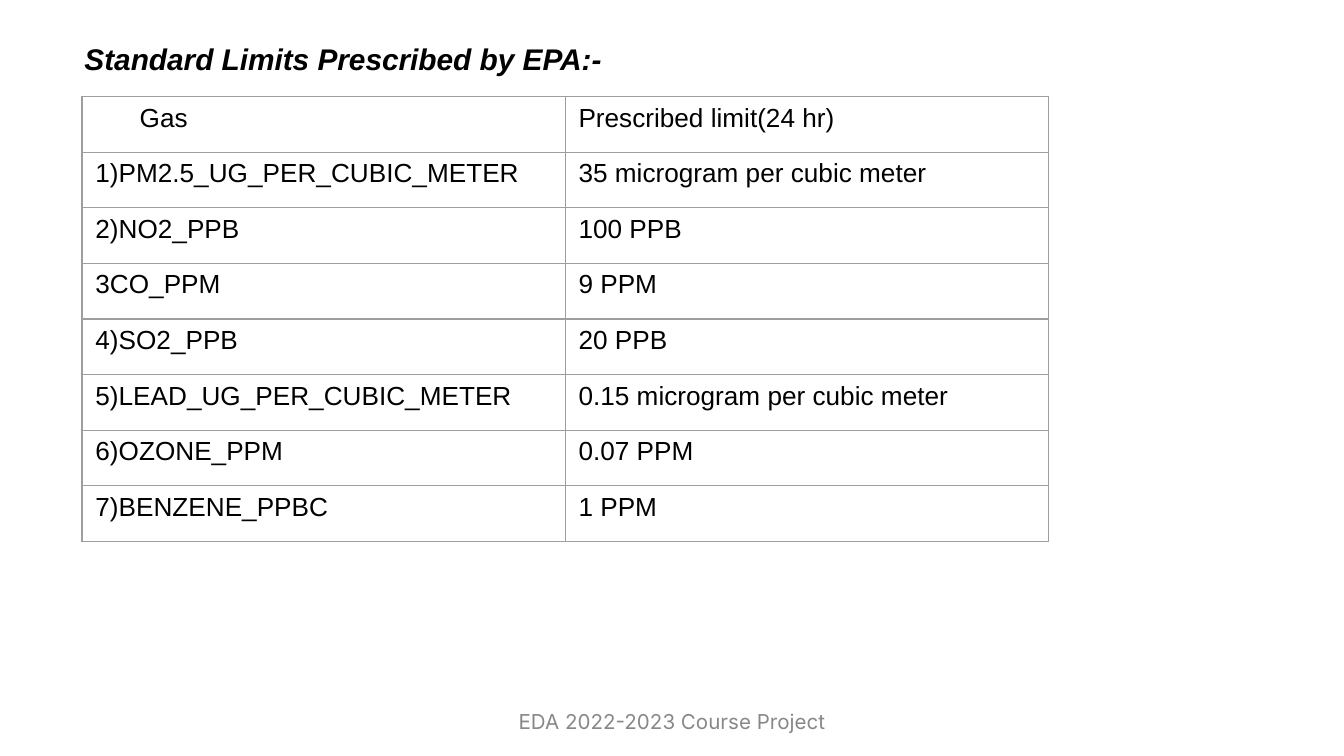
"""Build a slide with a table of prescribed gas limits."""
from lxml import etree
from pptx import Presentation
from pptx.dml.color import RGBColor
from pptx.enum.text import MSO_ANCHOR, PP_ALIGN
from pptx.oxml.ns import qn
from pptx.util import Inches, Pt

MIDDLE = MSO_ANCHOR.MIDDLE
TOP = MSO_ANCHOR.TOP
LEFT = PP_ALIGN.LEFT
JUSTIFY = PP_ALIGN.JUSTIFY


def write(frame, text, color, align, form):
    par = frame.paragraphs[0]
    par.alignment = align
    run = par.add_run()
    run.text = text
    run.font.color.rgb = RGBColor.from_string(color)
    for name, value in form.items():
        setattr(run.font, name, value)


def border(cell, color, width):
    props = cell._tc.get_or_add_tcPr()
    for spot, side in enumerate(("lnL", "lnR", "lnT", "lnB")):
        line = etree.Element(qn("a:" + side), w=str(Pt(width)))
        fill = etree.SubElement(line, qn("a:solidFill"))
        etree.SubElement(fill, qn("a:srgbClr"), val=color)
        props.insert(spot, line)


deck = Presentation()
deck.slide_width = Inches(10)
deck.slide_height = Inches(10) * 9 // 16
slide = deck.slides.add_slide(deck.slide_layouts[6])

labels = [
    ("EDA 2022-2023 Course Project", (3.76, 5.21, 2.49, 0.31), "888888", MIDDLE, JUSTIFY,
     {"name": "Inter", "size": Pt(11)}),
    ("Standard Limits Prescribed by EPA:-", (0.53, 0.25, 4.19, 0.37), "000000", TOP, LEFT,
     {"name": "Arial", "size": Pt(16), "bold": True, "italic": True}),
]
for text, place, color, anchor, align, form in labels:
    frame = slide.shapes.add_textbox(*map(Inches, place)).text_frame
    frame.word_wrap = False
    frame.vertical_anchor = anchor
    write(frame, text, color, align, form)

limits = [
    ("Gas", "Prescribed limit(24 hr)"),
    ("1)PM2.5_UG_PER_CUBIC_METER", "35 microgram per cubic meter"),
    ("2)NO2_PPB", "100 PPB"),
    ("3CO_PPM", "9 PPM"),
    ("4)SO2_PPB", "20 PPB"),
    ("5)LEAD_UG_PER_CUBIC_METER", "0.15 microgram per cubic meter"),
    ("6)OZONE_PPM", "0.07 PPM"),
    ("7)BENZENE_PPBC", "1 PPM"),
]
place = map(Inches, (0.61, 0.72, 7.19, 3.31))
table = slide.shapes.add_table(len(limits), 2, *place).table
table.first_row = False
table.horz_banding = False
for row, limit in zip(table.rows, limits):
    for cell, text in zip(row.cells, limit):
        cell.fill.background()
        border(cell, "9E9E9E", 0.75)
        write(cell.text_frame, text, "000000", LEFT, {"name": "Arial", "size": Pt(14)})
table.cell(0, 0).margin_left = Inches(0.43)

deck.save("out.pptx")
